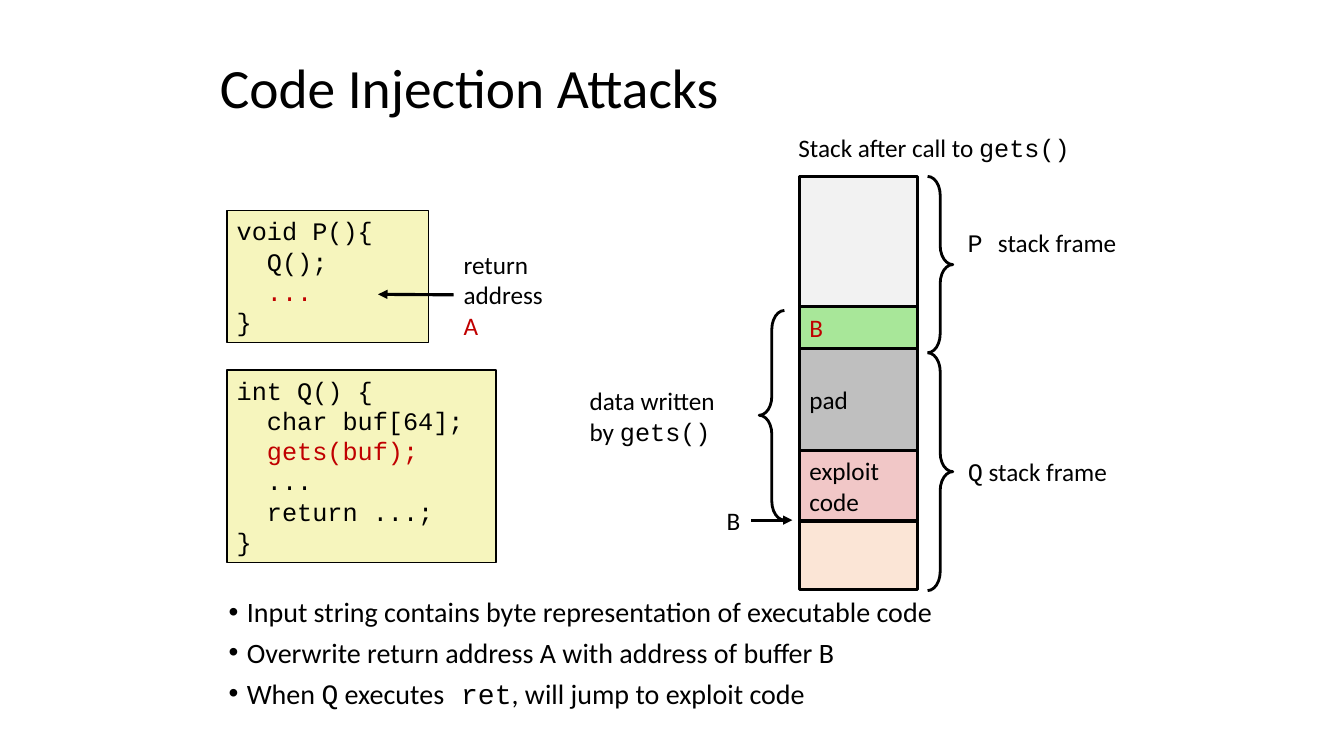
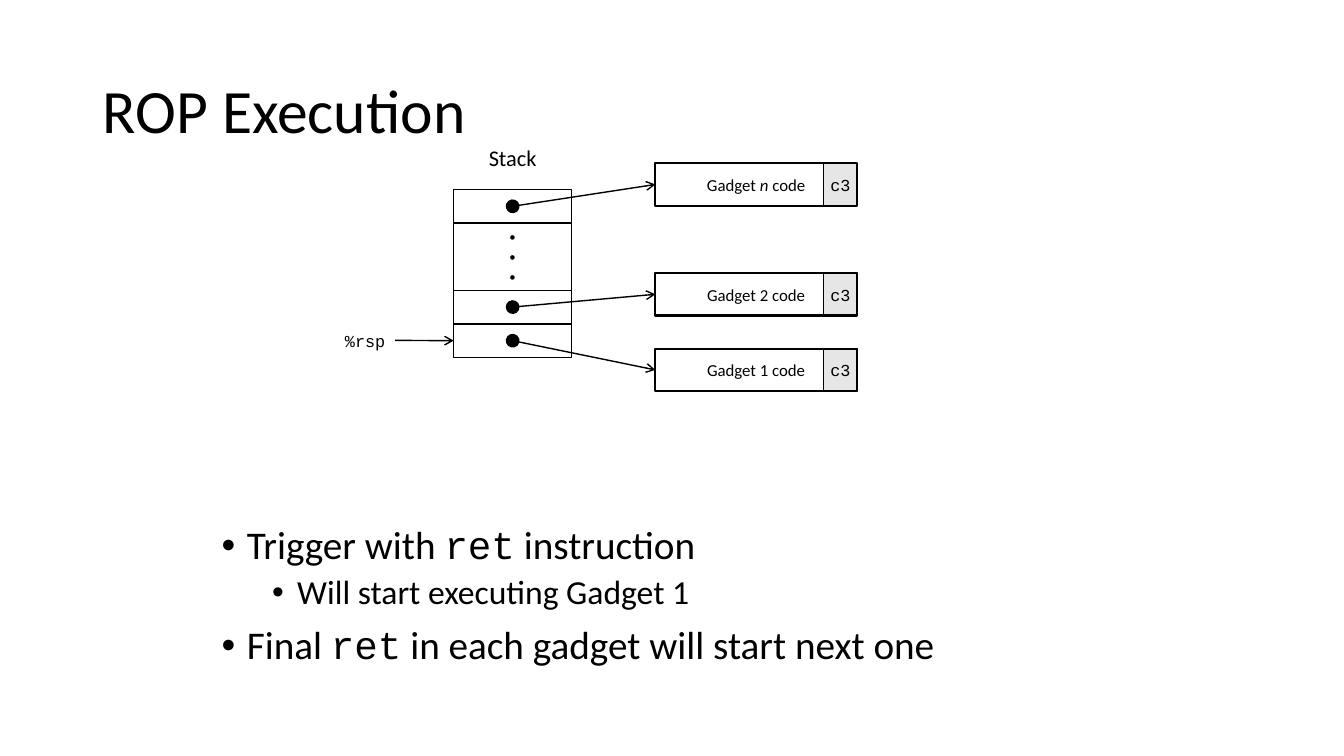
from dataclasses import dataclass
from typing import Optional, Sequence, Union

from lxml.etree import SubElement
from pptx import Presentation
from pptx.dml.color import RGBColor
from pptx.enum.shapes import MSO_CONNECTOR, MSO_SHAPE
from pptx.enum.text import MSO_ANCHOR, MSO_AUTO_SIZE, PP_ALIGN
from pptx.oxml.ns import qn
from pptx.util import Inches, Pt

COLORS = {
    "ink": "000000",
    "red": "C00000",
    "code": "F6F5BD",
    "caller": "F2F2F2",
    "address": "A8E799",
    "pad": "BFBFBF",
    "exploit": "F1C7C7",
    "callee": "FBE5D6",
    "return": "E7E6E6",
}
SANS, MONO, DOT = "Calibri", "Courier New", "Arial"
LEFT_SIDE, RIGHT_SIDE = 1, 3


@dataclass(frozen=True)
class Span:
    text: str
    font: Optional[str] = None
    color: Optional[str] = None
    italic: bool = False


Line = Sequence[Union[str, Span]]


@dataclass(frozen=True)
class Bullet:
    line: Line
    size: float
    margin: float
    before: float = 10
    level: int = 0


@dataclass(frozen=True)
class StackCell:
    height: float
    fill: Optional[str] = None
    lines: Sequence[Line] = ()
    color: str = "ink"


@dataclass(frozen=True)
class CodeBox:
    top: float
    width: float
    height: float
    lines: Sequence[Line]


@dataclass(frozen=True)
class Label:
    left: float
    top: float
    width: float
    height: float
    lines: Sequence[Line]
    wrap: bool = False


@dataclass(frozen=True)
class Brace:
    kind: MSO_SHAPE
    left: float
    top: float
    height: float


@dataclass(frozen=True)
class Gadget:
    top: float
    line: Line
    cell: int


def hex_color(name: str) -> RGBColor:
    return RGBColor.from_string(COLORS[name])


def write_line(para, line: Line, *, size: float, font: str = SANS, color: str = "ink") -> None:
    for part in line:
        span = part if isinstance(part, Span) else Span(part)
        run = para.add_run()
        run.text = span.text
        run.font.size = Pt(size)
        run.font.name = span.font or font
        run.font.color.rgb = hex_color(span.color or color)
        if span.italic:
            run.font.italic = True


def write_text(shape, lines: Sequence[Line], *, size: float = 18, font: str = SANS,
               color: str = "ink", align=PP_ALIGN.LEFT, anchor=MSO_ANCHOR.MIDDLE,
               wrap: bool = True, grow: bool = False, side: float = 0.1,
               spacing: Optional[float] = None) -> None:
    frame = shape.text_frame
    frame.word_wrap = wrap
    frame.auto_size = MSO_AUTO_SIZE.SHAPE_TO_FIT_TEXT if grow else MSO_AUTO_SIZE.NONE
    frame.vertical_anchor = anchor
    frame.margin_left = frame.margin_right = Inches(side)
    for index, line in enumerate(lines):
        para = frame.add_paragraph() if index else frame.paragraphs[0]
        para.alignment = align
        if spacing:
            para.line_spacing = spacing
        write_line(para, line, size=size, font=font, color=color)


def add_text(page, left: float, top: float, width: float, height: float,
             lines: Sequence[Line], **style):
    box = page.shapes.add_textbox(Inches(left), Inches(top), Inches(width), Inches(height))
    write_text(box, lines, **style)
    return box


def add_box(page, left: float, top: float, width: float, height: float, *,
            fill: Optional[str] = None, weight: float = 1, kind=MSO_SHAPE.RECTANGLE):
    box = page.shapes.add_shape(kind, Inches(left), Inches(top), Inches(width), Inches(height))
    box.shadow.inherit = False
    if fill:
        box.fill.solid()
        box.fill.fore_color.rgb = hex_color(fill)
    else:
        box.fill.background()
    box.line.color.rgb = hex_color("ink")
    box.line.width = Pt(weight)
    return box


def add_arrow(page, start: tuple, end: tuple, *, weight: float = 1,
              tail: str = "arrow", dot: bool = False):
    """Draw an arrow between two points given as lengths, with an optional dot at its start."""
    arrow = page.shapes.add_connector(MSO_CONNECTOR.STRAIGHT, *start, *end)
    arrow.line.color.rgb = hex_color("ink")
    arrow.line.width = Pt(weight)
    properties = arrow.element.spPr
    outline = properties.find(qn("a:ln"))
    if dot:
        SubElement(outline, qn("a:headEnd"), type="oval", w="lg", len="lg")
    SubElement(outline, qn("a:tailEnd"), type=tail)
    SubElement(properties, qn("a:effectLst"))
    return arrow


def add_bullets(page, left: float, top: float, width: float, height: float,
                bullets: Sequence[Bullet], *, spacing: float, anchor) -> None:
    box = add_text(page, left, top, width, height, [], anchor=anchor)
    frame = box.text_frame
    for index, bullet in enumerate(bullets):
        para = frame.add_paragraph() if index else frame.paragraphs[0]
        para.level = bullet.level
        para.line_spacing = spacing
        para.space_before = Pt(bullet.before)
        write_line(para, bullet.line, size=bullet.size)
        properties = para._p.get_or_add_pPr()
        properties.set("marL", str(Inches(bullet.margin)))
        properties.set("indent", str(Inches(-0.25)))
        SubElement(properties, qn("a:buFont"), typeface=DOT)
        SubElement(properties, qn("a:buChar"), char="•")


def add_stack(page, left: float, top: float, cells: Sequence[StackCell], *,
              weight: float, **style) -> list:
    """Pile up cells downwards without gaps and return their boxes."""
    boxes = []
    for cell in cells:
        box = add_box(page, left, top, 1.17, cell.height, fill=cell.fill, weight=weight)
        if cell.lines:
            write_text(box, cell.lines, color=cell.color, **style)
        boxes.append(box)
        top += cell.height
    return boxes


def add_titled_page(deck, title: str, left: float, top: float, width: float,
                    height: float, *, size: float):
    page = deck.slides.add_slide(deck.slide_layouts[5])
    holder = page.shapes.title
    holder.left, holder.top = Inches(left), Inches(top)
    holder.width, holder.height = Inches(width), Inches(height)
    write_text(holder, [[title]], size=size, spacing=0.9)
    return page


def build_injection_page(deck) -> None:
    page = add_titled_page(deck, "Code Injection Attacks", 2.08, 0.58, 9.08, 0.63, size=39.6)

    code_boxes = [
        CodeBox(2.09, 2, 1.31, [["void P(){"], ["  Q();"], ["  ", Span("...", color="red")], ["}"]]),
        CodeBox(3.67, 2.67, 1.91, [
            ["int Q() {"], ["  char buf[64];"], ["  ", Span("gets(buf);", color="red")],
            ["  ..."], ["  return ...;"], ["}"]]),
    ]
    for code in code_boxes:
        box = add_box(page, 2.25, code.top, code.width, code.height, fill="code")
        write_text(box, code.lines, font=MONO, anchor=MSO_ANCHOR.TOP, grow=True)

    add_stack(page, 7.93, 1.75, [
        StackCell(1.29, "caller"),
        StackCell(0.42, "address", [["B"]], "red"),
        StackCell(1.01, "pad", [["pad"]]),
        StackCell(0.7, "exploit", [["exploit"], ["code"]]),
        StackCell(0.68, "callee"),
    ], weight=2.25)

    braces = [
        Brace(MSO_SHAPE.RIGHT_BRACE, 9.2, 1.75, 1.75),
        Brace(MSO_SHAPE.RIGHT_BRACE, 9.2, 3.5, 2.36),
        Brace(MSO_SHAPE.LEFT_BRACE, 7.53, 3.08, 2.08),
    ]
    for brace in braces:
        shape = add_box(page, brace.left, brace.top, 0.25, brace.height, weight=2, kind=brace.kind)
        shape.adjustments[0] = 0.75

    gets = Span("gets()", MONO)
    labels = [
        Label(4.5, 2.42, 1, 1.01, [["return"], ["address"], [Span("A", color="red")]]),
        Label(7.11, 4.96, 0.34, 0.4, [["B"]]),
        Label(7.82, 1.26, 2.93, 0.4, [["Stack after call to ", gets]]),
        Label(9.5, 2.21, 1.7, 0.4, [[Span("P ", MONO), "stack frame"]]),
        Label(9.5, 4.48, 1.61, 0.4, [[Span("Q", MONO), " stack frame"]]),
        Label(5.75, 3.77, 1.5, 0.71, [["data written"], ["by ", gets]], wrap=True),
    ]
    return_label, buffer_label, *_ = [
        add_text(page, label.left, label.top, label.width, label.height, label.lines,
                 wrap=label.wrap, grow=True)
        for label in labels
    ]
    pointers = [
        (return_label, LEFT_SIDE, 4.5, 3.75, 2.92),
        (buffer_label, RIGHT_SIDE, 7.45, 7.86, 5.16),
    ]
    for label, side, start, end, height in pointers:
        arrow = add_arrow(page, (Inches(start), Inches(height)), (Inches(end), Inches(height)),
                          weight=2.25, tail="triangle")
        arrow.begin_connect(label, side)

    add_bullets(page, 2.17, 5.88, 9.03, 1.25, [
        Bullet(line, 20, 0.18) for line in (
            ["Input string contains byte representation of executable code"],
            ["Overwrite return address A with address of buffer B"],
            ["When ", Span("Q", MONO), " executes", Span(" ret", MONO),
             ", will jump to exploit code"],
        )
    ], spacing=0.8, anchor=MSO_ANCHOR.MIDDLE)


def build_rop_page(deck) -> None:
    page = add_titled_page(deck, "ROP Execution", 0.92, 0.4, 11.5, 1.45, size=44)
    add_text(page, 4.5, 1.38, 1.17, 0.37, [["Stack"]], size=16, align=PP_ALIGN.CENTER,
             anchor=MSO_ANCHOR.TOP, grow=True)

    row = 1 / 3
    cells = add_stack(page, 4.5, 1.88, [
        StackCell(row), StackCell(2 * row, lines=[["•"]] * 3), StackCell(row), StackCell(row),
    ], weight=1, size=12, font=DOT, align=PP_ALIGN.CENTER)

    gadgets = [
        Gadget(1.62, ["Gadget ", Span("n", italic=True), " code"], 0),
        Gadget(2.71, ["Gadget 2 code"], 2),
        Gadget(3.46, ["Gadget 1 code"], 3),
    ]
    for gadget in gadgets:
        opcode = add_box(page, 8.17, gadget.top, 0.33, 0.42, fill="return")
        write_text(opcode, [["c3"]], size=12, font=MONO, align=PP_ALIGN.CENTER, side=0)
        body = add_box(page, 6.5, gadget.top, 2, 0.42, weight=1.5)
        write_text(body, [gadget.line], size=12, align=PP_ALIGN.CENTER)
        cell = cells[gadget.cell]
        center = (cell.left + cell.width // 2, cell.top + cell.height // 2)
        arrow = add_arrow(page, center, (body.left, body.top + body.height // 2), dot=True)
        arrow.end_connect(body, LEFT_SIDE)

    pointer = add_text(page, 2.75, 3.21, 1.17, row, [["%rsp"]], size=12, font=MONO,
                       align=PP_ALIGN.RIGHT)
    arrow = add_arrow(page, (Inches(3.92), Inches(3.38)), (Inches(4.5), Inches(3.38)))
    arrow.begin_connect(pointer, RIGHT_SIDE)
    arrow.end_connect(cells[-1], LEFT_SIDE)

    ret = Span("ret", MONO)
    add_bullets(page, 2.1, 5.17, 8.64, 1.76, [
        Bullet(["Trigger with ", ret, " instruction"], 28, 0.25),
        Bullet(["Will start executing Gadget 1"], 24, 0.75, before=5, level=1),
        Bullet(["Final ", ret, " in each gadget will start next one"], 28, 0.25),
    ], spacing=0.9, anchor=MSO_ANCHOR.TOP)


def main() -> None:
    deck = Presentation()
    deck.slide_width, deck.slide_height = Inches(13.33), Inches(7.5)
    build_injection_page(deck)
    build_rop_page(deck)
    deck.save("out.pptx")


if __name__ == "__main__":
    main()
